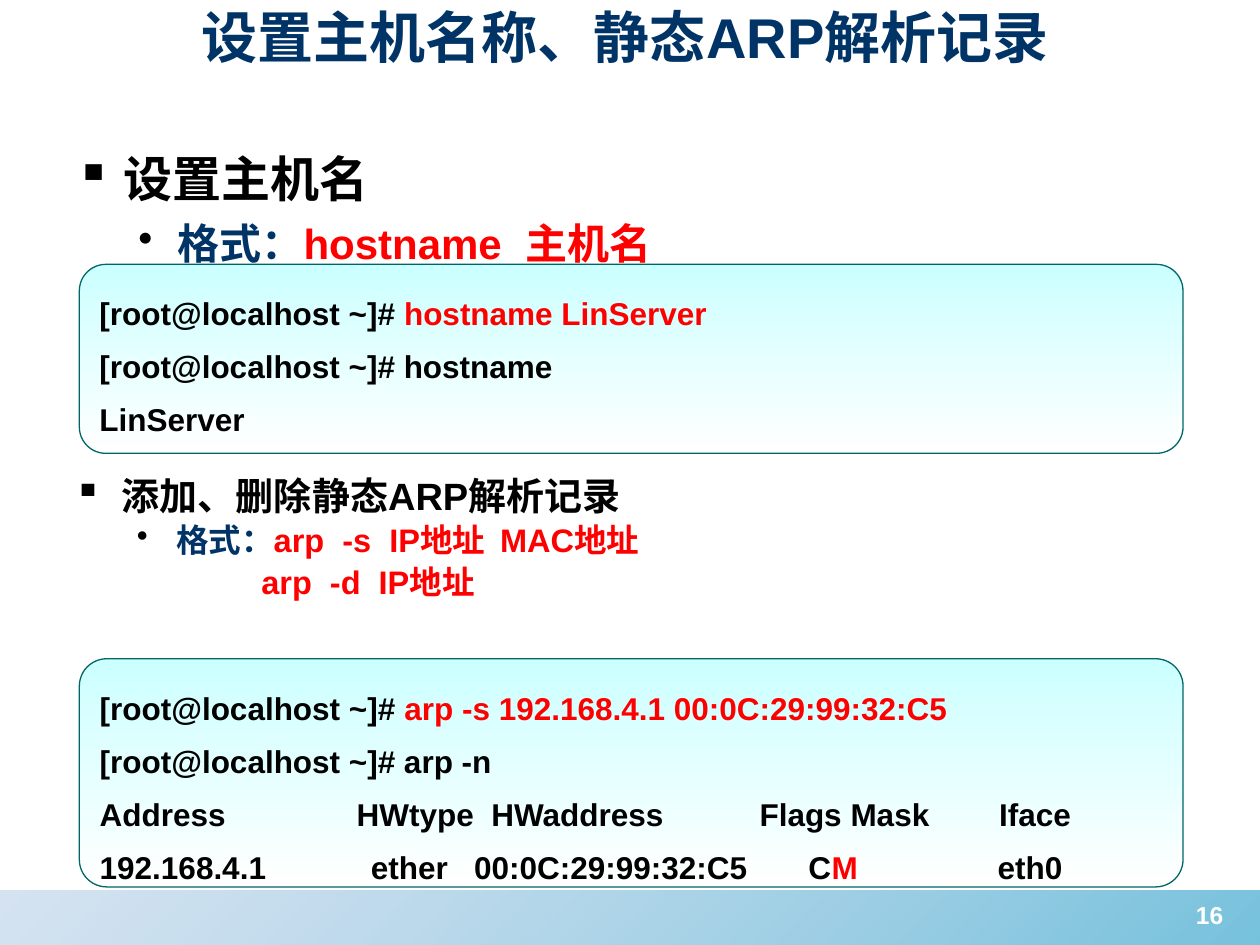
from lxml import etree
from pptx import Presentation
from pptx.dml.color import RGBColor
from pptx.enum.shapes import MSO_SHAPE
from pptx.enum.text import MSO_ANCHOR, PP_ALIGN
from pptx.oxml.ns import qn
from pptx.util import Cm, Pt

RECTANGLE, ROUNDED = MSO_SHAPE.RECTANGLE, MSO_SHAPE.ROUNDED_RECTANGLE
TOP, MIDDLE = MSO_ANCHOR.TOP, MSO_ANCHOR.MIDDLE
LEFT, CENTER = PP_ALIGN.LEFT, PP_ALIGN.CENTER

THEME = {
    "font": "Arial",
    "navy": "003366", "black": "000000", "red": "FF0000", "white": "FFFFFF",
    "shadow": "C0C0C0", "console": ("CCFFFF", "FFFFFF"), "console_line": "006666",
    "footer": (("1C99C6", 60), ("88B0D8", 35)),
    "title_size": 32, "console_size": 18, "number_size": 14,
}

TITLE = "设置主机名称、静态ARP解析记录"
PAGE_NUMBER = "16"
PROMPT = ("[root@localhost ~]# ", "black")

# Each line: (level, bullet, left indent, spans of (text, colour)).
TOPICS = [
    {"box": (1.27, 2.62, 22.86, 2.7), "sizes": (28, 24), "spacing": 1.0, "lines": [
        (0, "▪", 0.97, [("设置主机名", "black")]),
        (1, "•", 2.06, [("格式：", "navy"), ("hostname  主机名", "red")]),
    ]},
    {"box": (1.24, 9.32, 22.86, 3.2), "sizes": (21.7, 18.6), "spacing": 0.8, "lines": [
        (0, "▪", 0.97, [("添加、删除静态ARP解析记录", "black")]),
        (1, "•", 2.06, [("格式：", "navy"), ("arp  -s  IP地址  MAC地址", "red")]),
        (1, None, 3.78, [("arp  -d  IP地址", "red")]),
    ]},
]
HANGING = (0.97, 0.79)
SPACE_BEFORE = (7, 6)

CONSOLES = [
    {"top": 5.33, "height": 3.81, "lines": [
        [PROMPT, ("hostname LinServer", "red")],
        [PROMPT, ("hostname", "black")],
        [("LinServer", "black")],
    ]},
    {"top": 13.28, "height": 4.6, "lines": [
        [PROMPT, ("arp -s 192.168.4.1 00:0C:29:99:32:C5", "red")],
        [PROMPT, ("arp -n", "black")],
        [("Address               HWtype  HWaddress           Flags Mask        Iface", "black")],
        [("192.168.4.1            ether   00:0C:29:99:32:C5       C", "black"),
         ("M", "red"), ("                eth0", "black")],
    ]},
]
CONSOLE_LEFT, CONSOLE_WIDTH, CORNER_RADIUS = 1.6, 22.25, 0.54
CONSOLE_SPACE = 4.5


def style(span, size, colour):
    span.font.name = THEME["font"]
    span.font.size = Pt(size)
    span.font.bold = True
    span.font.color.rgb = RGBColor.from_string(THEME[colour])


def add_spans(para, spans, size, shadow=False):
    for text, colour in spans:
        span = para.add_run()
        span.text = text
        style(span, size, colour)
        if shadow:
            add_text_shadow(span)


def add_text_shadow(span):
    effects = etree.Element(qn("a:effectLst"))
    outer = etree.SubElement(effects, qn("a:outerShdw"), dist="38100", dir="2700000", algn="tl")
    etree.SubElement(outer, qn("a:srgbClr"), val=THEME["shadow"])
    span.font._element.find(qn("a:solidFill")).addnext(effects)


def set_bullet(para, left, hanging, bullet):
    properties = para._p.get_or_add_pPr()
    properties.set("marL", str(Cm(left)))
    properties.set("indent", str(-Cm(hanging) if bullet else 0))
    if bullet:
        colour = etree.SubElement(properties, qn("a:buClr"))
        etree.SubElement(colour, qn("a:srgbClr"), val=THEME["black"])
        etree.SubElement(properties, qn("a:buChar"), char=bullet)
    else:
        etree.SubElement(properties, qn("a:buNone"))


def paragraphs(frame, lines):
    """Yield one paragraph per line, with its index and content."""
    for index, line in enumerate(lines):
        yield index, frame.paragraphs[0] if index == 0 else frame.add_paragraph(), line


def set_gradient(shape, colours, angle):
    shape.fill.gradient()
    shape.fill.gradient_angle = angle
    for stop, colour in zip(shape.fill.gradient_stops, colours):
        stop.color.rgb = RGBColor.from_string(colour)


def add_footer(page):
    footer = page.shapes.add_shape(RECTANGLE, 0, Cm(17.96), Cm(25.4), Cm(1.09))
    footer.shadow.inherit = False
    footer.line.fill.background()
    set_gradient(footer, [colour for colour, _ in THEME["footer"]], 135)
    stops = footer._element.spPr.findall(".//" + qn("a:srgbClr"))
    for stop, (_, opacity) in zip(stops, THEME["footer"]):
        etree.SubElement(stop, qn("a:alpha"), val=str(opacity * 1000))


def place_title(page):
    title = page.shapes.title
    title.left, title.top, title.width, title.height = Cm(3.81), Cm(-0.08), Cm(20.5), Cm(1.63)
    frame = title.text_frame
    frame.text = TITLE
    frame.vertical_anchor = MIDDLE
    frame.paragraphs[0].alignment = LEFT
    style(frame.paragraphs[0].runs[0], THEME["title_size"], "navy")


def add_topic(page, topic):
    frame = page.shapes.add_textbox(*map(Cm, topic["box"])).text_frame
    frame.word_wrap = True
    frame.margin_top = Cm(0.13) + Pt(SPACE_BEFORE[0])
    for index, para, (level, bullet, left, spans) in paragraphs(frame, topic["lines"]):
        para.level = level
        para.line_spacing = topic["spacing"]
        if index:
            para.space_before = Pt(SPACE_BEFORE[level])
        set_bullet(para, left, HANGING[level], bullet)
        add_spans(para, spans, topic["sizes"][level], shadow=True)


def add_console(page, console):
    box = page.shapes.add_shape(ROUNDED, Cm(CONSOLE_LEFT), Cm(console["top"]),
                                Cm(CONSOLE_WIDTH), Cm(console["height"]))
    box.adjustments[0] = round(CORNER_RADIUS / console["height"], 2)
    box.shadow.inherit = False
    set_gradient(box, THEME["console"], 270)
    box.line.color.rgb = RGBColor.from_string(THEME["console_line"])
    box.line.width = Pt(0.75)
    frame = box.text_frame
    frame.word_wrap = True
    frame.vertical_anchor = TOP
    frame.margin_top = Cm(0.13) + Pt(CONSOLE_SPACE)
    for index, para, spans in paragraphs(frame, console["lines"]):
        para.alignment = LEFT
        para.line_spacing = 1.2
        if index:
            para.space_before = Pt(CONSOLE_SPACE)
        add_spans(para, spans, THEME["console_size"])


def add_page_number(page):
    frame = page.shapes.add_textbox(Cm(23.47), Cm(18.01), Cm(1.83), Cm(1.32)).text_frame
    frame.word_wrap = True
    frame.paragraphs[0].alignment = CENTER
    add_spans(frame.paragraphs[0], [(PAGE_NUMBER, "white")], THEME["number_size"])


def main():
    deck = Presentation()
    deck.slide_width, deck.slide_height = Cm(25.4), Cm(19.05)
    page = deck.slides.add_slide(deck.slide_layouts[5])
    add_footer(page)
    place_title(page)
    for topic, console in zip(TOPICS, CONSOLES):
        add_topic(page, topic)
        add_console(page, console)
    add_page_number(page)
    deck.save("out.pptx")


if __name__ == "__main__":
    main()
